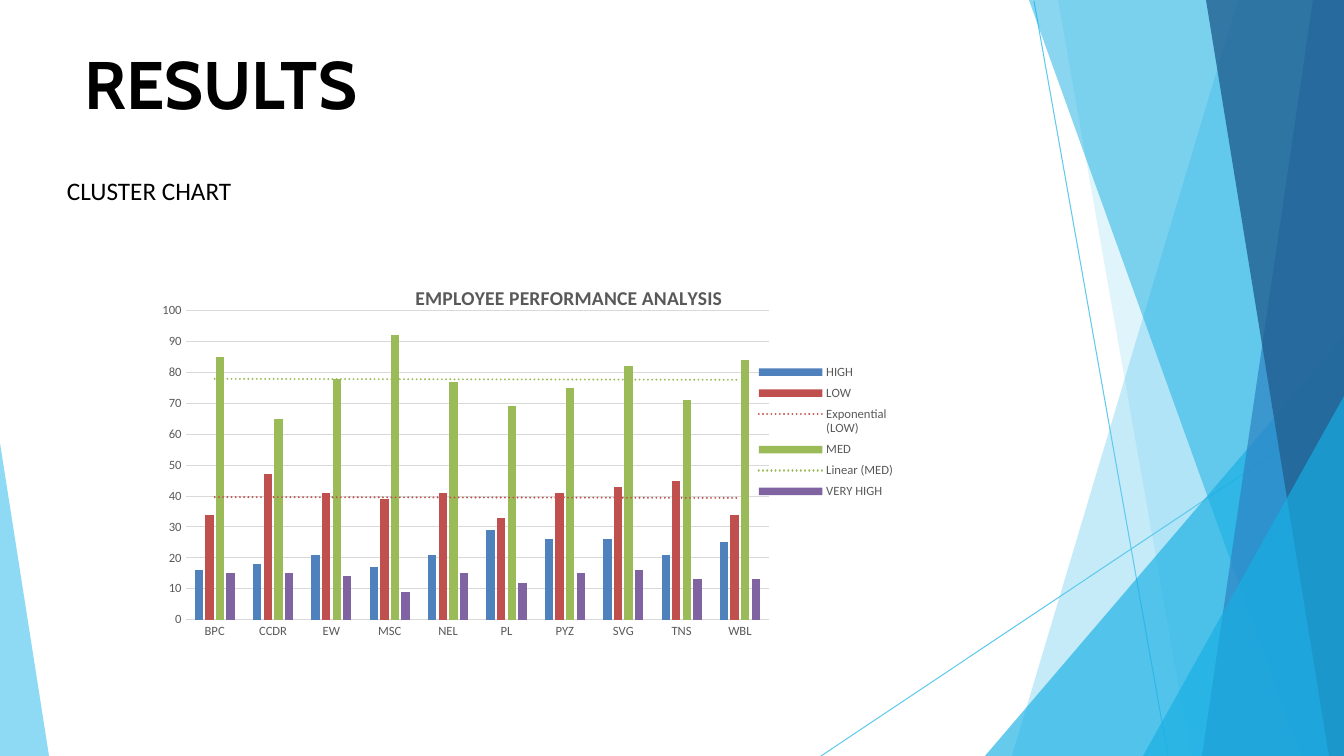
import pptx
import pptx.chart.data
import pptx.dml.color
import pptx.enum.chart
import pptx.enum.shapes
import pptx.oxml
import pptx.oxml.ns
import pptx.util

PX = 914400 / 100.8
COLORS = {
    "black": "000000", "label": "595959", "grid": "D9D9D9",
    "sky": "5FCAEE", "cyan": "17AFE3", "blue": "2D83C3", "navy": "226192",
    "HIGH": "4F81BD", "LOW": "C0504D", "MED": "9BBB59", "VERY HIGH": "8064A2",
}
SITES = ["BPC", "CCDR", "EW", "MSC", "NEL", "PL", "PYZ", "SVG", "TNS", "WBL"]
RATINGS = {
    "HIGH": [16, 18, 21, 17, 21, 29, 26, 26, 21, 25],
    "LOW": [34, 47, 41, 39, 41, 33, 41, 43, 45, 34],
    "MED": [85, 65, 78, 92, 77, 69, 75, 82, 71, 84],
    "VERY HIGH": [15, 15, 14, 9, 15, 12, 15, 16, 13, 13],
}
TRENDS = {"LOW": "exp", "MED": "linear"}


def px(n):
    return pptx.util.Emu(round(n * PX))


def rgb(name):
    return pptx.dml.color.RGBColor.from_string(COLORS[name])


def set_font(font, size, color="label", name="Calibri", bold=False):
    font.size = pptx.util.Pt(size)
    font.name = name
    font.bold = bold
    font.color.rgb = rgb(color)


def add_text(s, box, text, **font):
    tf = s.shapes.add_textbox(*map(px, box)).text_frame
    tf.word_wrap = True
    tf.margin_left = tf.margin_top = tf.margin_right = tf.margin_bottom = 0
    r = tf.paragraphs[0].add_run()
    r.text = text
    set_font(r.font, **font)


def add_facet(s, points, color, opacity):
    """Draw a borderless translucent polygon."""
    builder = s.shapes.build_freeform(*points[0], scale=PX)
    builder.add_line_segments(points[1:], close=True)
    sp = builder.convert_to_shape()
    sp.shadow.inherit = False
    sp.line.fill.background()
    sp.fill.solid()
    sp.fill.fore_color.rgb = rgb(color)
    clr = sp.element.xpath("./p:spPr/a:solidFill/a:srgbClr")[0]
    clr.append(pptx.oxml.parse_xml(
        f'<a:alpha {pptx.oxml.ns.nsdecls("a")} val="{opacity * 1000}"/>'))


def add_right_facets(s, box):
    left, top, width, height = box
    right, bottom = left + width, top + height
    for x1, y1, x2, y2 in [(213, 1, 347, height), (width, 407, 0, height)]:
        line = s.shapes.add_connector(
            pptx.enum.shapes.MSO_CONNECTOR.STRAIGHT,
            px(left + x1), px(top + y1), px(left + x2), px(top + y2))
        line.line.color.rgb = rgb("sky")
        line.line.width = pptx.util.Pt(0.75)
        line.element.spPr.append(pptx.oxml.parse_xml(
            f'<a:effectLst {pptx.oxml.ns.nsdecls("a")}/>'))
    # upper edge y, upper corner x, lower corner x, colour, opacity
    facets = [
        (0, 417, 191, "sky", 36),
        (0, 237, 370, "sky", 20),
        (336, width, 164, "cyan", 66),
        (0, 208, 480, "cyan", 50),
        (0, 492, 381, "blue", 70),
        (0, 385, 508, "navy", 80),
        (396, width, 322, "cyan", 66),
    ]
    for y, upper_x, lower_x, color, opacity in facets:
        corners = [(right, top + y), (left + upper_x, top + y),
                   (left + lower_x, bottom), (right, bottom)]
        add_facet(s, list(dict.fromkeys(corners)), color, opacity)


def add_left_facet(s, box):
    left, top, width, height = box
    add_facet(s, [(left, top), (left, top + height),
                  (left + width, top + height)], "sky", 70)


def set_layout(parent, inner=False, **place):
    """Place a chart part by fractions of the chart's size."""
    for old in parent.xpath("./c:layout"):
        parent.remove(old)
    parts = ['<c:layoutTarget val="inner"/>'] if inner else []
    parts += [f'<c:{k}Mode val="edge"/>' for k in "xy"]
    parts += [f'<c:{k} val="{v}"/>' for k, v in place.items()]
    layout = pptx.oxml.parse_xml(
        f'<c:layout {pptx.oxml.ns.nsdecls("c")}><c:manualLayout>'
        f'{"".join(parts)}</c:manualLayout></c:layout>')
    overlay = parent.xpath("./c:overlay")
    if overlay:
        overlay[0].addprevious(layout)
    else:
        parent.insert(0, layout)


def add_trend(chart, name, kind):
    cat = chart.element.xpath(f'.//c:ser[c:tx//c:v="{name}"]/c:cat')[0]
    cat.addprevious(pptx.oxml.parse_xml(
        f'<c:trendline {pptx.oxml.ns.nsdecls("c", "a")}><c:spPr>'
        f'<a:ln w="19050" cap="rnd"><a:solidFill><a:srgbClr val="{COLORS[name]}"/>'
        f'</a:solidFill><a:prstDash val="sysDot"/></a:ln></c:spPr>'
        f'<c:trendlineType val="{kind}"/><c:dispRSqr val="0"/>'
        f'<c:dispEq val="0"/></c:trendline>'))


def add_performance_chart(s, box):
    data = pptx.chart.data.CategoryChartData()
    data.categories = SITES
    for name, values in RATINGS.items():
        data.add_series(name, values)
    chart = s.shapes.add_chart(
        pptx.enum.chart.XL_CHART_TYPE.COLUMN_CLUSTERED,
        *map(px, box), data).chart
    set_font(chart.font, 10, "black")

    plot = chart.plots[0]
    plot.vary_by_categories = False
    plot.gap_width = 219
    plot.overlap = -27
    for series in plot.series:
        series.format.fill.solid()
        series.format.fill.fore_color.rgb = rgb(series.name)
    for name, kind in TRENDS.items():
        add_trend(chart, name, kind)

    for axis in (chart.category_axis, chart.value_axis):
        set_font(axis.tick_labels.font, 9)
        axis.major_tick_mark = pptx.enum.chart.XL_TICK_MARK.NONE
        axis.minor_tick_mark = pptx.enum.chart.XL_TICK_MARK.NONE
    values = chart.value_axis
    values.minimum_scale, values.maximum_scale, values.major_unit = 0, 100, 10
    values.format.line.fill.background()
    for lines in (chart.category_axis, values.major_gridlines):
        lines.format.line.color.rgb = rgb("grid")
        lines.format.line.width = pptx.util.Pt(0.75)

    chart.has_title = True
    r = chart.chart_title.text_frame.paragraphs[0].add_run()
    r.text = "EMPLOYEE PERFORMANCE ANALYSIS"
    set_font(r.font, 14, bold=True)
    chart.has_legend = True
    chart.legend.position = pptx.enum.chart.XL_LEGEND_POSITION.RIGHT
    chart.legend.include_in_layout = False
    set_font(chart.legend.font, 9)

    title, area, legend = (chart.element.xpath(f"./c:chart/c:{part}")[0]
                           for part in ("title", "plotArea", "legend"))
    set_layout(title, x=0.34, y=0.12)
    set_layout(area, inner=True, x=0.045, y=0.182, w=0.761, h=0.633)
    set_layout(legend, x=0.79, y=0.28, w=0.18, h=0.3)


def build_results_slide(prs):
    s = prs.slides.add_slide(prs.slide_layouts[6])
    add_right_facets(s, (821, 0, 523, 756))
    add_left_facet(s, (0, 443, 49, 313))
    add_text(s, (84, 42, 1177, 73), "RESULTS",
             size=48, color="black", name="Cabin", bold=True)
    add_text(s, (67, 175, 1210, 26), "CLUSTER CHART", size=18, color="black")
    add_performance_chart(s, (151, 222, 767, 488))


def main():
    prs = pptx.Presentation()
    prs.slide_width, prs.slide_height = px(1344), px(756)
    build_results_slide(prs)
    prs.save("out.pptx")


if __name__ == "__main__":
    main()
